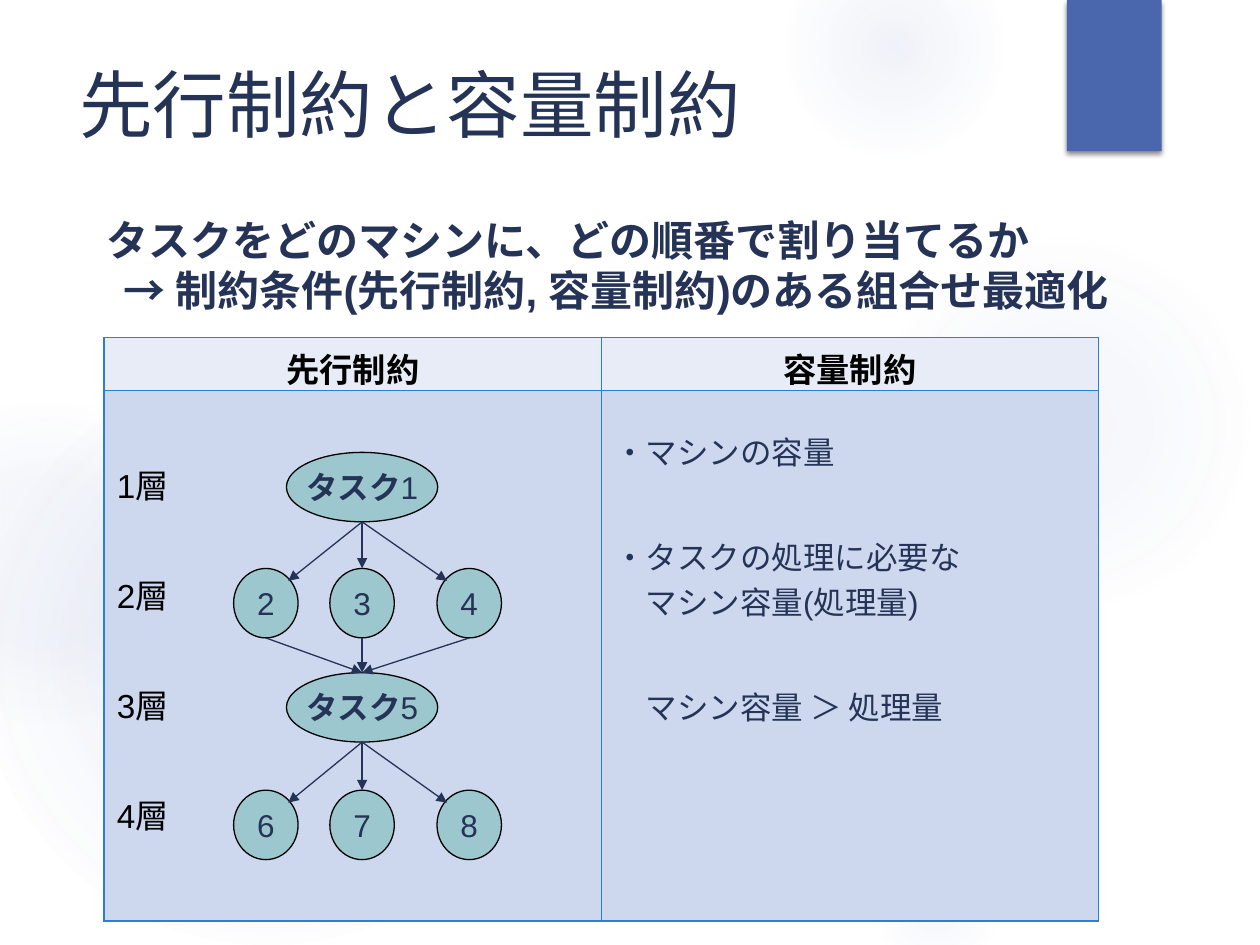
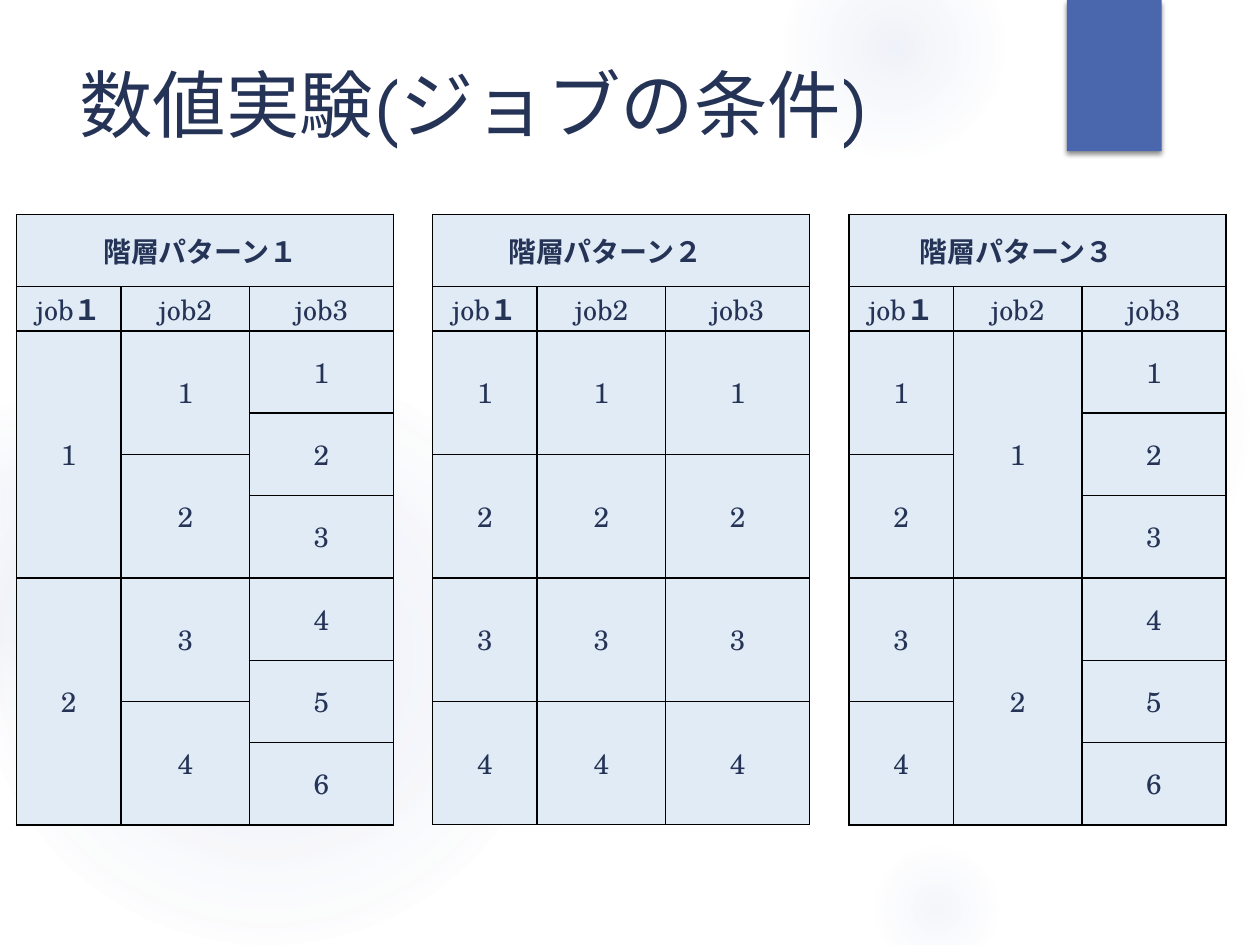
from itertools import accumulate
from lxml.etree import SubElement as Sub
from pptx import Presentation
from pptx.dml.color import RGBColor
from pptx.enum.shapes import MSO_CONNECTOR as Link, MSO_SHAPE as Shape
from pptx.enum.text import MSO_ANCHOR as Anchor, PP_ALIGN as Align
from pptx.oxml.ns import qn
from pptx.util import Cm, Pt

NAVY, BLUE, TEAL, GLOW, BLACK = "253356", "4A66AC", "9CC7CE", "90A2CF", "000000"
HEAD, BODY, EDGE, PALE = "E8ECF7", "CDD8EF", "297FD5", "E0EBF6"
SANS, TITLE, SERIF = "Arial", "TeX Gyre Adventor", "TeX Gyre Schola"

# Glows: left, top, size, then (position %, opacity %) stops
GLOWS = [
    (17.5, 4.65, 7.82, [(0, 7), (36, 6), (69, 0)]),
    (15.8, -1.27, 4.45, [(0, 14), (36, 7), (73, 0)]),
    (17.5, 16.94, 2.74, [(0, 10), (31, 5), (66, 0)]),
    (-0.43, 7.42, 11.63, [(0, 11), (36, 10), (75, 0)]),
    (-2.34, 8.05, 6.55, [(0, 8), (36, 8), (72, 0)]),
]

LEAD = [("タスクをどのマシンに、どの順番で割り当てるか", 0),
        ("→ 制約条件(先行制約, 容量制約)のある組合せ最適化", 0.35)]
KINDS = ["先行制約", "容量制約"]
LAYERS = ["1層", "2層", "3層", "4層"]
# Text, left indent in cm, space before in points
LIMITS = [("・マシンの容量", 0, 0), ("・タスクの処理に必要な", 0, 34),
          ("マシン容量(処理量)", 0.63, 0), ("マシン容量 ＞ 処理量", 0.63, 34)]

# Task layers: top, then nodes
TASKS = [(9.12, ["1"]), (11.46, ["2", "3", "4"]),
         (13.56, ["5"]), (15.93, ["6", "7", "8"])]
MIDS = [5.36, 7.3, 9.46]
TALL, WIDE, SLIM = 1.4, 3.05, 1.3

# Pattern name, right inset, number of layers in each job
PATTERNS = [("階層パターン１", 0.37, (2, 4, 6)),
            ("階層パターン２", 0.82, (4, 4, 4)),
            ("階層パターン３", 1.0, (4, 2, 6))]
JOBS = [[("job", False), ("１", True)], [("job2", False)], [("job3", False)]]
STEPS, UNIT = 12, 0.83


def rgb(code):
    return RGBColor.from_string(code)


def write(para, parts, size, font=SANS, color=NAVY, align=Align.LEFT):
    """Fill a paragraph with (text, bold) runs."""
    para.alignment = align
    for text, bold in parts:
        run = para.add_run()
        run.text = text
        run.font.size, run.font.name, run.font.bold = Pt(size), font, bold
        run.font.color.rgb = rgb(color)


def lines(frame, count):
    return [frame.paragraphs[0]] + [frame.add_paragraph() for _ in range(count - 1)]


def indent(para, left):
    para._p.get_or_add_pPr().set("marL", str(Cm(left)))


def textbox(slide, left, top, width, height):
    frame = slide.shapes.add_textbox(Cm(left), Cm(top), Cm(width), Cm(height)).text_frame
    frame.word_wrap = True
    return frame


def shape(slide, kind, left, top, width, height, fill, line=None):
    item = slide.shapes.add_shape(kind, Cm(left), Cm(top), Cm(width), Cm(height))
    item.shadow.inherit = False
    item.fill.solid()
    item.fill.fore_color.rgb = rgb(fill)
    if line:
        item.line.color.rgb = rgb(line)
        item.line.width = Pt(0.75)
    else:
        item.line.fill.background()
    return item


def tint(parent, code, alpha):
    color = Sub(parent, qn("a:srgbClr"), val=code)
    Sub(color, qn("a:alpha"), val=str(alpha * 1000))


def glow(slide, left, top, size, stops):
    item = shape(slide, Shape.OVAL, left, top, size, size, GLOW)
    old = item._element.spPr.find(qn("a:solidFill"))
    grad = old.makeelement(qn("a:gradFill"), {"rotWithShape": "1"})
    old.getparent().replace(old, grad)
    chain = Sub(grad, qn("a:gsLst"))
    for pos, alpha in stops:
        tint(Sub(chain, qn("a:gs"), pos=str(pos * 1000)), GLOW, alpha)
    way = Sub(grad, qn("a:path"), {"path": "circle"})
    Sub(way, qn("a:fillToRect"), dict.fromkeys("ltrb", "50000"))


def base(deck, title):
    """Add a slide with glows, corner band and title."""
    slide = deck.slides.add_slide(deck.slide_layouts[6])
    for spot in GLOWS:
        glow(slide, *spot)
    band = shape(slide, Shape.RECTANGLE, 21.51, 0, 1.91, 3.05, BLUE)
    effects = band._element.spPr.find(qn("a:effectLst"))
    shade = Sub(effects, qn("a:outerShdw"), blurRad=str(Pt(3)), dist=str(Pt(2)),
                dir="5400000", algn="t", rotWithShape="0")
    tint(shade, BLACK, 45)
    para = textbox(slide, 1.35, 1.27, 19.6, 3.89).paragraphs[0]
    para.line_spacing = 0.9
    write(para, [(title, False)], 42, TITLE)
    return slide


def grid(slide, left, top, cols, rows, fills, edge):
    """Add a table; fills gives one colour for each row."""
    table = slide.shapes.add_table(len(rows), len(cols), Cm(left), Cm(top),
                                   Cm(sum(cols)), Cm(sum(rows))).table
    table.first_row = table.horz_banding = False
    for col, width in zip(table.columns, cols):
        col.width = Cm(width)
    for row, height, fill in zip(table.rows, rows, fills):
        row.height = Cm(height)
        for cell in row.cells:
            props = cell._tc.get_or_add_tcPr()
            for side in ("lnL", "lnR", "lnT", "lnB"):
                line = Sub(props, qn("a:" + side), w=str(Pt(1)))
                Sub(Sub(line, qn("a:solidFill")), qn("a:srgbClr"), val=edge)
            cell.fill.solid()
            cell.fill.fore_color.rgb = rgb(fill)
    return table


def arrow(slide, start, end):
    line = slide.shapes.add_connector(Link.STRAIGHT, *map(Cm, start + end))
    line.line.color.rgb = rgb(NAVY)
    line.line.width = Pt(0.75)
    Sub(line.line._get_or_add_ln(), qn("a:tailEnd"), type="triangle")
    Sub(line._element.spPr, qn("a:effectLst"))


def tree(slide):
    """Draw the task layers and the arrows between them."""
    for top, names in TASKS:
        lone = len(names) == 1
        width = WIDE if lone else SLIM
        for name, mid in zip(names, MIDS[1:2] if lone else MIDS):
            node = shape(slide, Shape.OVAL, mid - width / 2, top, width, TALL, TEAL, BLACK)
            frame = node.text_frame
            frame.word_wrap, frame.vertical_anchor = False, Anchor.MIDDLE
            parts = [("タスク", True)] * lone + [(name, False)]
            write(frame.paragraphs[0], parts, 18, align=Align.CENTER)
    hub = MIDS[1]
    for (top, names), (below, _) in zip(TASKS, TASKS[1:]):
        foot = top + TALL
        for mid, side in zip(MIDS, (1, 0, -1)):
            if len(names) == 1:
                arrow(slide, (hub, foot), (mid + side * 0.45, below + abs(side) * 0.25))
            else:
                arrow(slide, (mid, foot), (hub, below))


def limits(deck):
    slide = base(deck, "先行制約と容量制約")
    frame = textbox(slide, 1.9, 4.21, 22.96, 3.2)
    for para, (text, left) in zip(lines(frame, len(LEAD)), LEAD):
        para.line_spacing = Pt(28.6)
        indent(para, left)
        write(para, [(text, True)], 24)

    table = grid(slide, 2.1, 6.8, [10.03, 10.01], [1.07, 10.7], [HEAD, BODY], EDGE)
    for col, kind in enumerate(KINDS):
        cell = table.cell(0, col)
        cell.margin_bottom = 0
        write(cell.text_frame.paragraphs[0], [(kind, True)], 19, SANS, BLACK, Align.CENTER)
    left, right = table.rows[1].cells
    left.margin_top, right.margin_top = Cm(1.4), Cm(0.75)
    for spot, (para, text) in enumerate(zip(lines(left.text_frame, len(LAYERS)), LAYERS)):
        para.space_before = Pt(35.5 if spot else 0)
        write(para, [(text, False)], 19, color=BLACK)
    for para, (text, shift, gap) in zip(lines(right.text_frame, len(LIMITS)), LIMITS):
        para.space_before = Pt(gap)
        indent(para, shift)
        write(para, [(text, False)], 18)
    tree(slide)


def pattern(slide, left, name, inset, counts):
    """Add one table whose rows break wherever any job breaks."""
    cuts = sorted({k * STEPS // n for n in counts for k in range(n + 1)})
    spans = [(b - a) * UNIT for a, b in zip(cuts, cuts[1:])]
    rows = [1.46, 0.89] + spans
    table = grid(slide, left, 4.32, [2.11, 2.59, 2.9], rows, [PALE] * len(rows), BLACK)
    for cell in table.iter_cells():
        cell.margin_left = cell.margin_right = Cm(0.18)
        cell.margin_top = cell.margin_bottom = 0
        cell.vertical_anchor = Anchor.MIDDLE

    def put(row, col, parts):
        write(table.cell(row, col).text_frame.paragraphs[0], parts, 16, SERIF,
              align=Align.CENTER)

    table.cell(0, 0).merge(table.cell(0, 2))
    table.cell(0, 0).margin_right = Cm(inset)
    put(0, 0, [(name, True)])
    for col, (job, count) in enumerate(zip(JOBS, counts)):
        put(1, col, job)
        ends = list(accumulate([STEPS // count] * count, initial=0))
        for layer, (a, b) in enumerate(zip(ends, ends[1:]), 1):
            first, last = cuts.index(a) + 2, cuts.index(b) + 1
            if last > first:
                table.cell(first, col).merge(table.cell(last, col))
            put(first, col, [(str(layer), False)])


def trials(deck):
    slide = base(deck, "数値実験(ジョブの条件)")
    for spot, item in enumerate(PATTERNS):
        pattern(slide, 0.33 + spot * 8.39, *item)


def main():
    deck = Presentation()
    deck.slide_width, deck.slide_height = Cm(25.4), Cm(19.05)
    limits(deck)
    trials(deck)
    deck.save("out.pptx")


if __name__ == "__main__":
    main()
